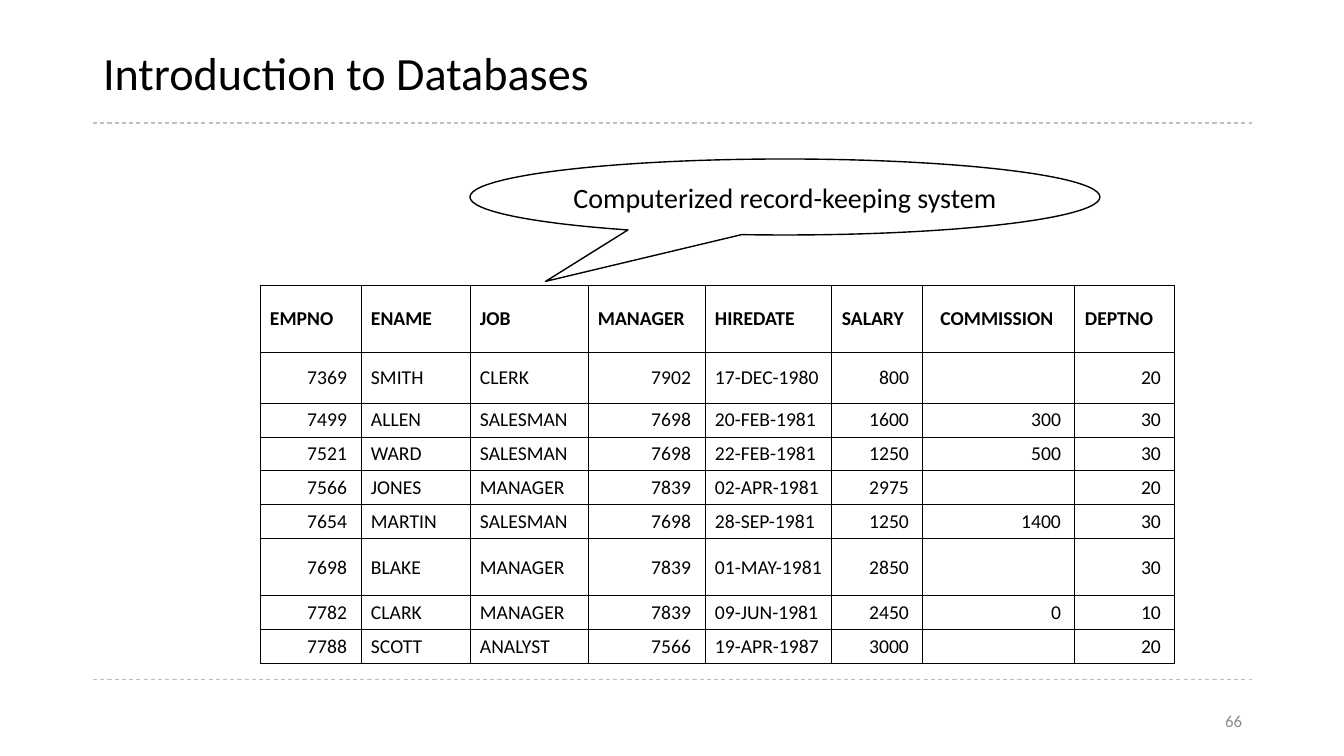
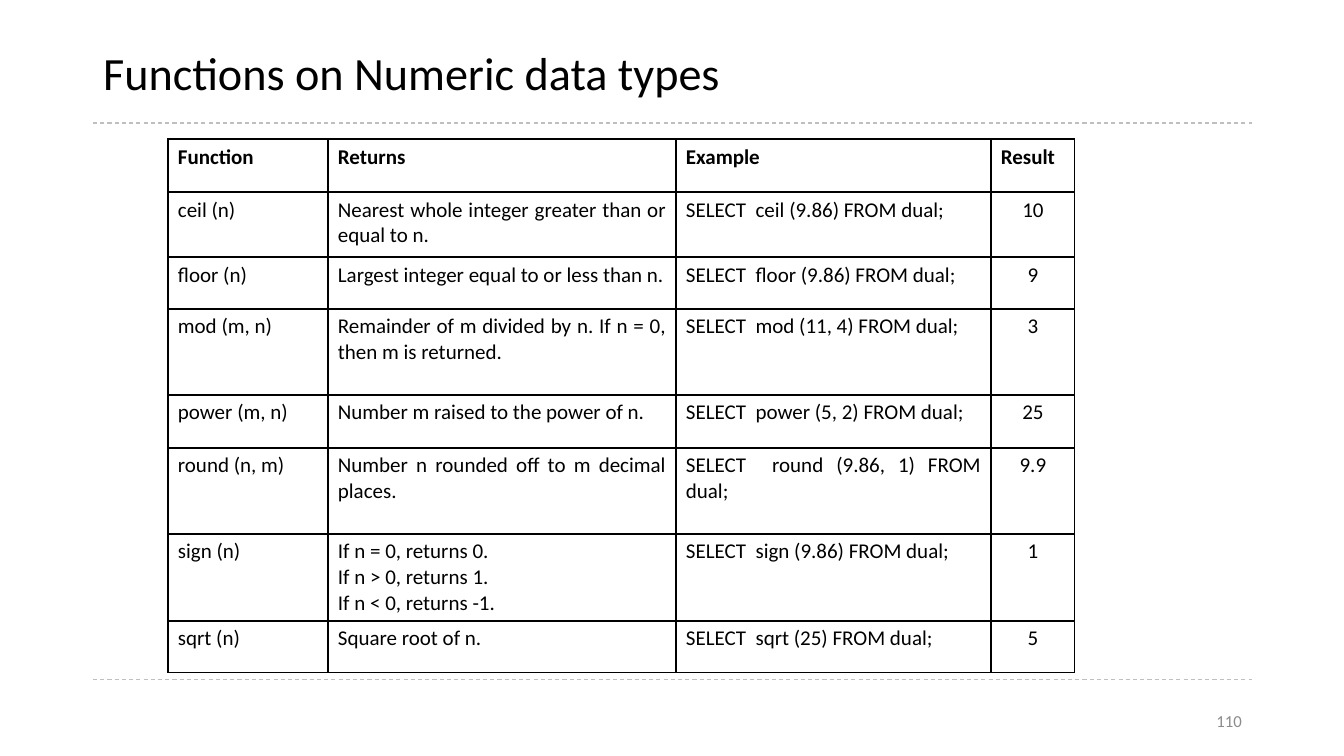
import pptx
import pptx.dml.color
import pptx.enum.dml
import pptx.enum.shapes
import pptx.enum.text
import pptx.oxml
import pptx.oxml.ns
import pptx.util
from lxml import etree

EMU_PER_PX = 914400 / 100.8
FONT = "Calibri"
BLACK, RULE_GREY, NUMBER_GREY = "000000", "BFBFBF", "8C8C8C"
TITLE_BOX = (93, 29, 1159, 94)
NUMBER_BOX = (950, 701, 302, 40)
RULE_LEFT, RULE_RIGHT, RULE_TOPS = 93, 1252, (123, 680)
CELL_INSET, NUMBER_INSET = 10, 14
TITLE_ONLY = 5

ALIGN = pptx.enum.text.PP_ALIGN
MIDDLE = pptx.enum.text.MSO_ANCHOR.MIDDLE
TOP = pptx.enum.text.MSO_ANCHOR.TOP

EMPLOYEE_COLS = (101, 109, 118, 117, 127, 91, 152, 100)
EMPLOYEE_ROWS = (67, 51, 34, 34, 34, 34, 57, 34, 34)
EMPLOYEE_NUMBERS = ("EMPNO", "MANAGER", "SALARY", "COMMISSION", "DEPTNO")
EMPLOYEES = [
    ("EMPNO", "ENAME", "JOB", "MANAGER", "HIREDATE", "SALARY", "COMMISSION", "DEPTNO"),
    ("7369", "SMITH", "CLERK", "7902", "17-DEC-1980", "800", "", "20"),
    ("7499", "ALLEN", "SALESMAN", "7698", "20-FEB-1981", "1600", "300", "30"),
    ("7521", "WARD", "SALESMAN", "7698", "22-FEB-1981", "1250", "500", "30"),
    ("7566", "JONES", "MANAGER", "7839", "02-APR-1981", "2975", "", "20"),
    ("7654", "MARTIN", "SALESMAN", "7698", "28-SEP-1981", "1250", "1400", "30"),
    ("7698", "BLAKE", "MANAGER", "7839", "01-MAY-1981", "2850", "", "30"),
    ("7782", "CLARK", "MANAGER", "7839", "09-JUN-1981", "2450", "0", "10"),
    ("7788", "SCOTT", "ANALYST", "7566", "19-APR-1987", "3000", "", "20"),
]

FUNCTION_COLS = (160, 348, 315, 84)
FUNCTION_ROWS = (53, 65, 52, 86, 53, 86, 87, 52)
FUNCTIONS = [
    ("Function", "Returns", "Example", "Result"),
    ("ceil (n)", "Nearest whole integer greater than or equal to n.",
     "SELECT  ceil (9.86) FROM dual;", "10"),
    ("floor (n)", "Largest integer equal to or less than n.",
     "SELECT  floor (9.86) FROM dual;", "9"),
    ("mod (m, n)", "Remainder of m divided by n. If n = 0, then m is returned.",
     "SELECT  mod (11, 4) FROM dual;", "3"),
    ("power (m, n)", "Number m raised to the power of n.",
     "SELECT  power (5, 2) FROM dual;", "25"),
    ("round (n, m)", "Number n rounded off to m decimal places.",
     "SELECT  round (9.86, 1) FROM dual;", "9.9"),
    ("sign (n)", "If n = 0, returns 0.\nIf n > 0, returns 1.\nIf n < 0, returns -1.",
     "SELECT  sign (9.86) FROM dual;", "1"),
    ("sqrt (n)", "Square root of n.", "SELECT  sqrt (25) FROM dual;", "5"),
]


def px(*lengths):
    return [pptx.util.Emu(round(n * EMU_PER_PX)) for n in lengths]


def rgb(color):
    return pptx.dml.color.RGBColor.from_string(color)


def write(tf, text, size, color=BLACK, align=ALIGN.LEFT, bold=False):
    tf.text = text
    for p in tf.paragraphs:
        p.alignment = align
        for r in p.runs:
            r.font.name, r.font.size, r.font.bold = FONT, pptx.util.Pt(size), bold
            r.font.color.rgb = rgb(color)
        if not p.runs:  # an empty cell must not grow its row
            etree.SubElement(p._p, pptx.oxml.ns.qn("a:endParaRPr"), sz=str(size * 100))


def add_rule(slide, top):
    x1, x2, y = px(RULE_LEFT, RULE_RIGHT, top)
    line = slide.shapes.add_connector(pptx.enum.shapes.MSO_CONNECTOR.STRAIGHT, x1, y, x2, y)
    line.line.color.rgb = rgb(RULE_GREY)
    line.line.width = pptx.util.Pt(0.75)
    line.line.dash_style = pptx.enum.dml.MSO_LINE.DASH
    etree.SubElement(line.element.spPr, pptx.oxml.ns.qn("a:effectLst"))


def add_slide(prs, title, number):
    """Add a slide with the shared rules, title style and page number."""
    slide = prs.slides.add_slide(prs.slide_layouts[TITLE_ONLY])
    for top in RULE_TOPS:
        add_rule(slide, top)
    sp = slide.shapes.title
    sp.left, sp.top, sp.width, sp.height = px(*TITLE_BOX)
    sp.text_frame.vertical_anchor = MIDDLE
    write(sp.text_frame, title, 33)
    sp.text_frame.paragraphs[0].line_spacing = 0.9
    tf = slide.shapes.add_textbox(*px(*NUMBER_BOX)).text_frame
    tf.word_wrap = True
    tf.vertical_anchor = MIDDLE
    write(tf, number, 12, NUMBER_GREY, ALIGN.RIGHT)
    return slide


def set_borders(cell, points):
    tcPr = cell._tc.get_or_add_tcPr()
    for side in ("lnL", "lnR", "lnT", "lnB"):
        tcPr.append(pptx.oxml.parse_xml(
            f'<a:{side} {pptx.oxml.ns.nsdecls("a")} w="{pptx.util.Pt(points)}">'
            f'<a:solidFill><a:srgbClr val="{BLACK}"/></a:solidFill></a:{side}>'))


def add_grid(slide, left, top, cols, rows, data, size, border, anchor, style):
    """Add a table; style(row, header) gives a cell's alignment and right inset."""
    box = px(left, top, sum(cols), sum(rows))
    table = slide.shapes.add_table(len(rows), len(cols), *box).table
    table.first_row = table.horz_banding = False
    for col, width in zip(table.columns, px(*cols)):
        col.width = width
    for row, height in zip(table.rows, px(*rows)):
        row.height = height
    for i, texts in enumerate(data):
        for j, text in enumerate(texts):
            cell = table.cell(i, j)
            align, inset = style(i, data[0][j])
            cell.margin_left, cell.margin_right = px(CELL_INSET, inset)
            cell.vertical_anchor = anchor
            set_borders(cell, border)
            cell.fill.background()
            write(cell.text_frame, text, size, align=align, bold=i == 0)


def employee_style(row, header):
    if row == 0 and header == "COMMISSION":
        return ALIGN.CENTER, NUMBER_INSET
    if row > 0 and header in EMPLOYEE_NUMBERS:
        return ALIGN.RIGHT, NUMBER_INSET
    return ALIGN.LEFT, CELL_INSET


def function_style(row, header):
    centred = row > 0 and header == "Result"
    return (ALIGN.CENTER if centred else ALIGN.JUSTIFY), CELL_INSET


def add_callout(slide, left, top, width, height, text):
    sp = slide.shapes.add_shape(pptx.enum.shapes.MSO_SHAPE.OVAL_CALLOUT,
                                *px(left, top, width, height))
    sp.adjustments[0], sp.adjustments[1] = -0.38, 1.11
    sp.shadow.inherit = False
    sp.fill.background()
    sp.line.color.rgb = rgb(BLACK)
    sp.line.width = pptx.util.Pt(1)
    sp.text_frame.word_wrap = True
    sp.text_frame.vertical_anchor = MIDDLE
    write(sp.text_frame, text, 20, align=ALIGN.CENTER)


def main():
    prs = pptx.Presentation()
    prs.slide_width, prs.slide_height = px(1344, 756)

    slide = add_slide(prs, "Introduction to Databases", "66")
    add_grid(slide, 260, 285, EMPLOYEE_COLS, EMPLOYEE_ROWS, EMPLOYEES,
             14, 0.75, MIDDLE, employee_style)
    add_callout(slide, 470, 159, 630, 76, "Computerized record-keeping system")

    slide = add_slide(prs, "Functions on Numeric data types", "110")
    add_grid(slide, 168, 139, FUNCTION_COLS, FUNCTION_ROWS, FUNCTIONS,
             15, 1, TOP, function_style)

    prs.save("out.pptx")


if __name__ == "__main__":
    main()
